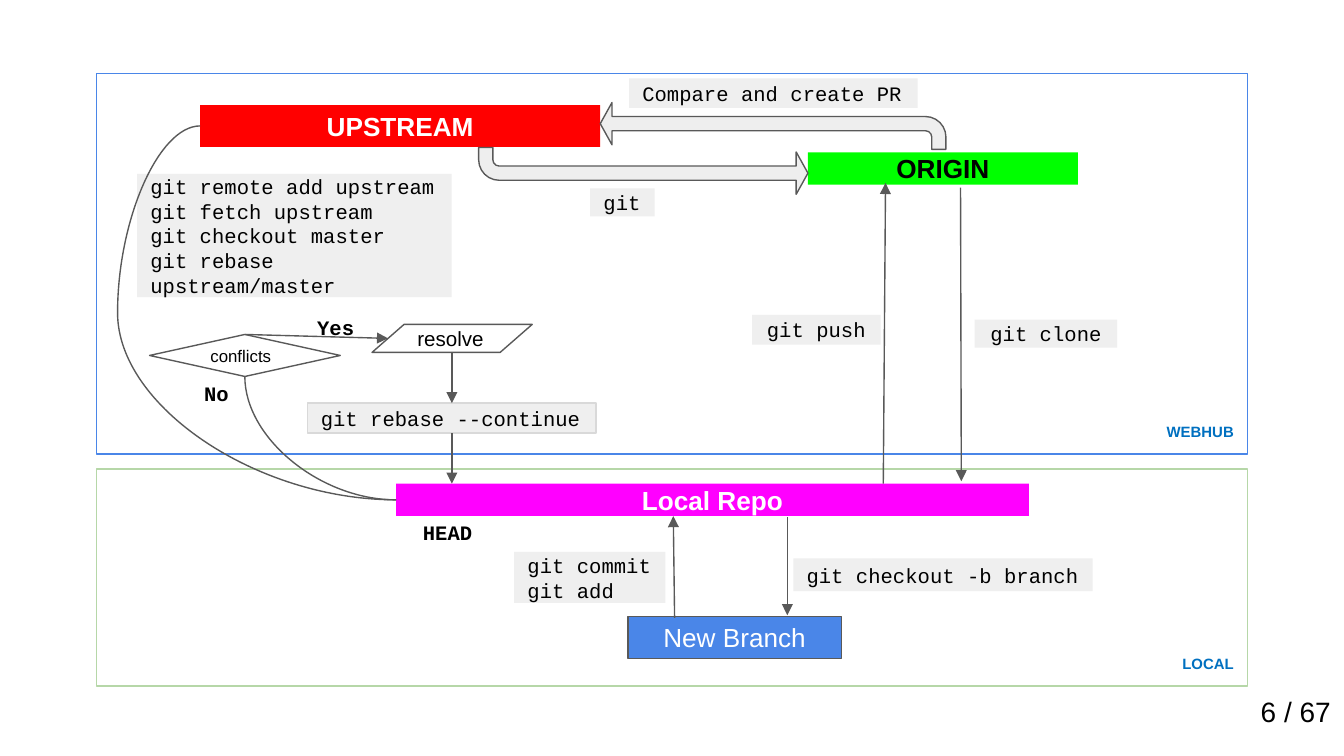
from dataclasses import dataclass

from lxml import etree
from pptx import Presentation
from pptx.dml.color import RGBColor
from pptx.enum.shapes import MSO_CONNECTOR, MSO_SHAPE
from pptx.enum.text import MSO_ANCHOR, PP_ALIGN
from pptx.oxml.ns import qn
from pptx.util import Pt

RECT, DIAMOND = MSO_SHAPE.RECTANGLE, MSO_SHAPE.DIAMOND
DATA, BENT = MSO_SHAPE.FLOWCHART_DATA, MSO_SHAPE.BENT_ARROW
STRAIGHT, CURVE = MSO_CONNECTOR.STRAIGHT, MSO_CONNECTOR.CURVE
LEFT, CENTER, RIGHT = PP_ALIGN.LEFT, PP_ALIGN.CENTER, PP_ALIGN.RIGHT
TOP, MIDDLE, BOTTOM = MSO_ANCHOR.TOP, MSO_ANCHOR.MIDDLE, MSO_ANCHOR.BOTTOM
SITE_TOP, SITE_BOTTOM = 0, 2


@dataclass(frozen=True)
class Theme:
    sans: str = "Arial"
    mono: str = "Courier New"
    black: str = "000000"
    white: str = "FFFFFF"
    line: str = "595959"
    code_fill: str = "EFEFEF"
    code_line: str = "D9D9D9"
    arrow_fill: str = "EEEEEE"
    blue: str = "4A86E8"
    green_line: str = "B6D7A8"
    zone_text: str = "0070C0"
    red: str = "FF0000"
    green: str = "00FF00"
    magenta: str = "FF00FF"
    zone_size: int = 8
    small_size: int = 9
    code_size: int = 11
    repo_size: int = 14
    page_size: int = 15
    line_width: float = 0.75
    inset: float = 7.2


T = Theme()


def rgb(value):
    return RGBColor.from_string(value)


def set_text(sp, text, size, color=T.black, font=T.sans, bold=False,
             align=LEFT, anchor=MIDDLE):
    tf = sp.text_frame
    tf.word_wrap = True
    tf.vertical_anchor = anchor
    tf.margin_left = tf.margin_right = Pt(T.inset)
    # Middle-anchored labels are often shorter than the default insets
    tf.margin_top = tf.margin_bottom = Pt(0 if anchor == MIDDLE else T.inset)
    tf.text = text
    for p in tf.paragraphs:
        p.alignment = align
        p.font.name, p.font.size, p.font.bold = font, Pt(size), bold
        p.font.color.rgb = rgb(color)


def add_box(slide, kind, bounds, fill=None, line=None):
    sp = slide.shapes.add_shape(kind, *map(Pt, bounds))
    sp.shadow.inherit = False
    if fill:
        sp.fill.solid()
        sp.fill.fore_color.rgb = rgb(fill)
    else:
        sp.fill.background()
    if line:
        sp.line.color.rgb = rgb(line)
        sp.line.width = Pt(T.line_width)
    else:
        sp.line.fill.background()
    return sp


def add_zone(slide, text, bounds, line):
    sp = add_box(slide, RECT, bounds, line=line)
    set_text(sp, text, T.zone_size, T.zone_text, bold=True, align=RIGHT, anchor=BOTTOM)


def add_repo(slide, text, bounds, fill, color=T.white, line=None, bold=True):
    sp = add_box(slide, RECT, bounds, fill, line)
    set_text(sp, text, T.repo_size, color, bold=bold, align=CENTER)
    return sp


def add_code(slide, text, bounds, line=None, align=LEFT):
    sp = add_box(slide, RECT, bounds, T.code_fill, line)
    set_text(sp, text, T.code_size, font=T.mono, align=align)
    return sp


def add_step(slide, text, kind, bounds, size):
    set_text(add_box(slide, kind, bounds, line=T.line), text, size)


def add_label(slide, text, bounds, **style):
    set_text(slide.shapes.add_textbox(*map(Pt, bounds)), text, **style)


def add_bent_arrow(slide, bounds, rotation=0):
    sp = add_box(slide, BENT, bounds, T.arrow_fill, T.line)
    for i, value in enumerate((0.303, 0.452, 0.25, 0.438)):
        sp.adjustments[i] = value
    sp.rotation = rotation
    sp._element.spPr.get_or_add_xfrm().set("flipH", "1")


def add_line(slide, kind, start, end):
    cxn = slide.shapes.add_connector(kind, *map(Pt, start + end))
    cxn.line.color.rgb = rgb(T.line)
    cxn.line.width = Pt(T.line_width)
    etree.SubElement(cxn._element.spPr, qn("a:effectLst"))
    return cxn


def add_arrow(slide, start, end):
    cxn = add_line(slide, STRAIGHT, start, end)
    etree.SubElement(cxn.line._get_or_add_ln(), qn("a:tailEnd"), type="triangle")
    return cxn


def add_side_curve(slide, start, end, bend):
    """S-shaped connector whose middle lies at the fraction bend of its width."""
    geom = add_line(slide, CURVE, start, end)._element.spPr.find(qn("a:prstGeom"))
    guides = geom.find(qn("a:avLst"))
    etree.SubElement(guides, qn("a:gd"), name="adj1", fmla=f"val {round(bend * 100000)}")


def add_corner_curve(slide, start, end):
    """Quarter curve that leaves downwards and arrives from the left."""
    (x1, y1), (x2, y2) = start, end
    cx, cy = (x1 + x2) / 2, (y1 + y2) / 2
    half_w, half_h = (y2 - y1) / 2, (x2 - x1) / 2
    cxn = add_line(slide, CURVE, (cx + half_w, cy - half_h), (cx - half_w, cy + half_h))
    spPr = cxn._element.spPr
    spPr.find(qn("a:prstGeom")).set("prst", "curvedConnector2")
    spPr.find(qn("a:xfrm")).set("rot", str(270 * 60000))


def main():
    prs = Presentation()
    prs.slide_width, prs.slide_height = Pt(720), Pt(405)
    slide = prs.slides.add_slide(prs.slide_layouts[6])

    # Zones
    add_zone(slide, "WEBHUB", (51.8, 39.4, 616.4, 203.9), T.blue)
    add_zone(slide, "LOCAL", (51.8, 251.2, 616.4, 116.4), T.green_line)

    # Repositories and branch
    add_repo(slide, "UPSTREAM", (107.2, 56.3, 214.4, 22.4), T.red)
    add_repo(slide, "ORIGIN", (432.8, 81.6, 144.7, 17.4), T.green, T.black)
    repo = add_repo(slide, "Local Repo", (212.2, 259.1, 339, 17.4), T.magenta)
    add_repo(slide, "New Branch", (336.4, 330.3, 114.4, 22.4), T.blue,
             line=T.line, bold=False)

    # Commands
    add_code(slide, "git", (316.2, 100.9, 34.5, 15))
    add_code(slide, "git clone", (522.2, 171.3, 76.3, 15), align=CENTER)
    add_code(slide, "git checkout -b branch", (425, 299.2, 160.3, 17.5))
    add_code(slide, "git remote add upstream\ngit fetch upstream\n"
             "git checkout master\ngit rebase upstream/master",
             (73.5, 93.2, 168.5, 66))
    add_code(slide, "git commit\ngit add", (275.5, 295.7, 81, 27.3))
    add_code(slide, "git push", (402.9, 168.7, 69, 16), align=CENTER)
    add_code(slide, "Compare and create PR", (337, 42, 154.6, 15.8))

    # Exchange between upstream and origin
    add_bent_arrow(slide, (256.4, 79, 176.4, 25.1), rotation=180)
    add_bent_arrow(slide, (321.6, 54.9, 185.2, 25.1))

    # Exchange with the local repository
    add_arrow(slide, (514.6, 100.6), (515, 257.8))
    add_arrow(slide, (473.2, 259.1), (474.4, 98))
    add_arrow(slide, (421.8, 277), (421.8, 329.6))
    add_arrow(slide, (361.4, 331), (360.7, 276.5))

    # Conflict handling
    add_side_curve(slide, (107.2, 67.5), (212.2, 267.8), -0.421)
    add_step(slide, "conflicts", DIAMOND, (80.1, 179.2, 102.2, 22.5), T.small_size)
    add_corner_curve(slide, (131.2, 201.7), (212.2, 267.8))
    rebase = add_code(slide, "git rebase --continue", (164.8, 216, 154.6, 16),
                      T.code_line)
    add_step(slide, "resolve", DATA, (199.3, 173.8, 85.8, 15), T.code_size)
    add_arrow(slide, (131.2, 179.2), (207.9, 181.3))
    add_arrow(slide, (242.1, 188.8), (242.1, 216)).end_connect(rebase, SITE_TOP)
    add_arrow(slide, (242.1, 232), (242.1, repo.top.pt)).begin_connect(rebase, SITE_BOTTOM)

    # Labels
    for text, bounds in (("Yes", (160.4, 168, 38.9, 15)),
                         ("No", (100.5, 203, 31, 15)),
                         ("HEAD", (218.2, 277.5, 43.2, 15))):
        add_label(slide, text, bounds, size=T.code_size, font=T.mono,
                  bold=True, align=CENTER)
    add_label(slide, "6 / 67", (640, 365, 80, 40), size=T.page_size,
              align=RIGHT, anchor=TOP)

    prs.save("out.pptx")


if __name__ == "__main__":
    main()
